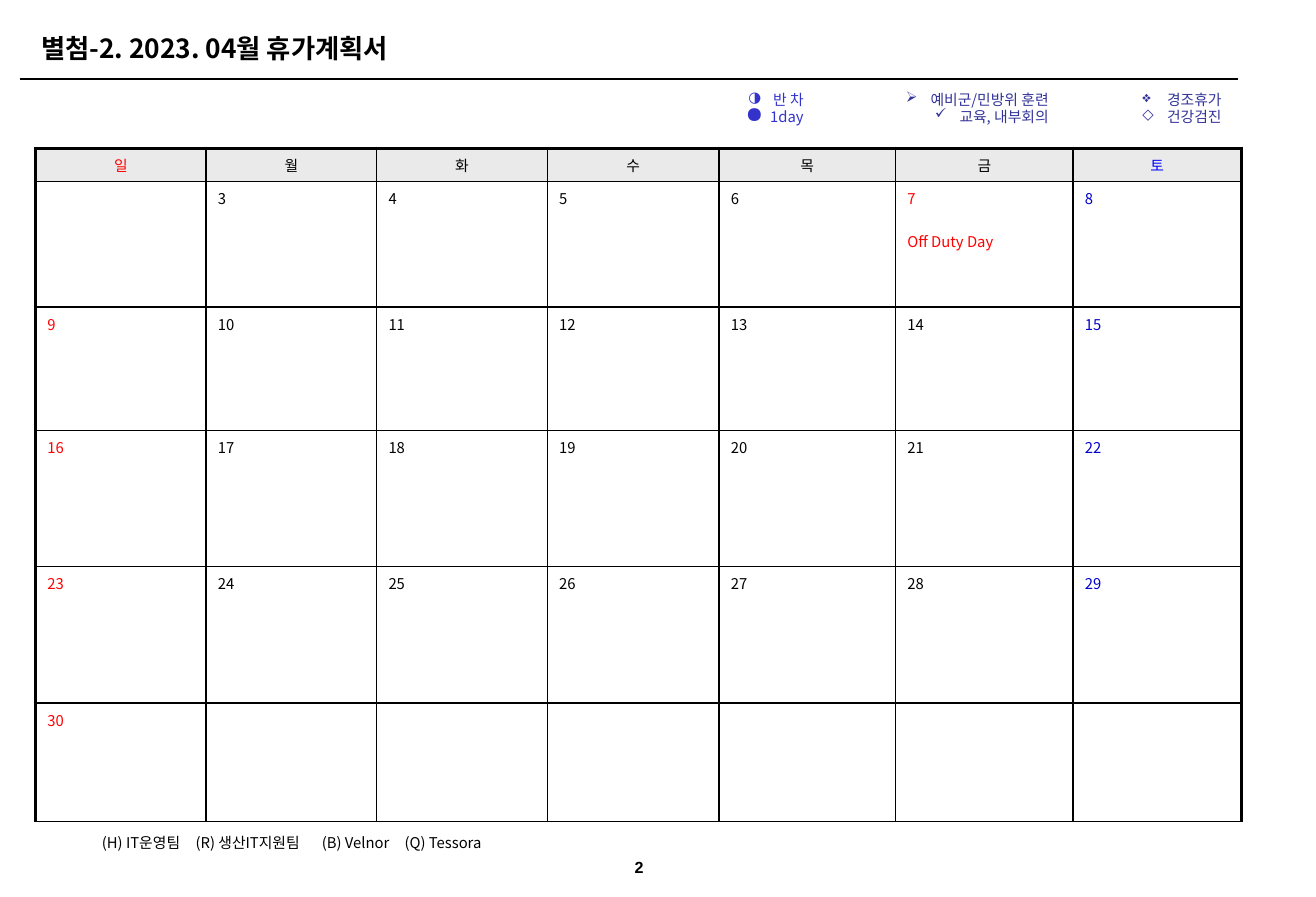
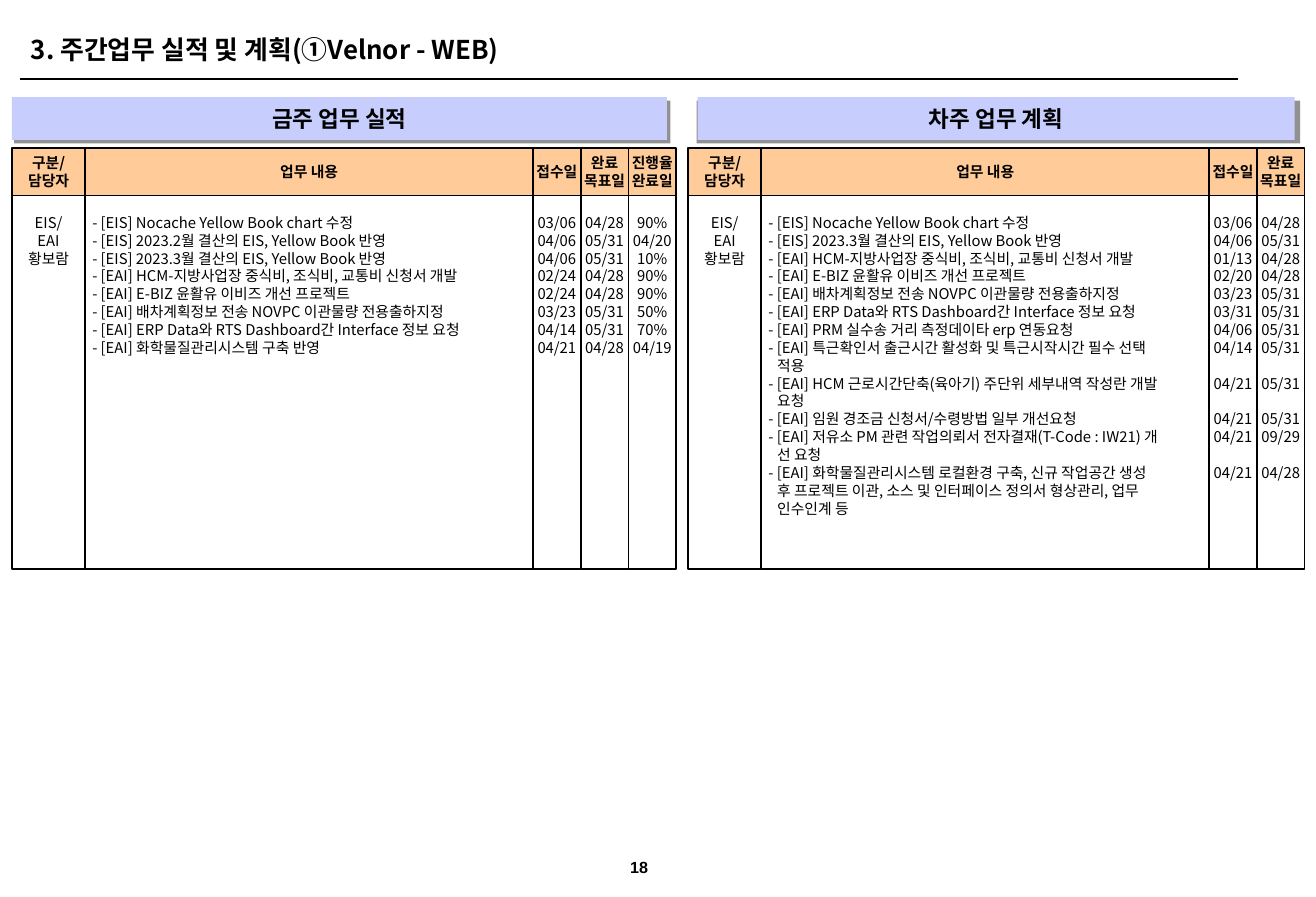
from dataclasses import dataclass
from typing import Any, NamedTuple

from lxml.etree import SubElement
from pptx import Presentation
from pptx.dml.color import RGBColor
from pptx.enum.shapes import MSO_CONNECTOR, MSO_SHAPE
from pptx.enum.text import MSO_ANCHOR as Anchor, PP_ALIGN as Align
from pptx.oxml.ns import qn
from pptx.util import Pt

COLORS = {
    "black": "000000", "red": "FF0000", "blue": "0000FF", "navy": "0000CC",
    "indigo": "3333CC", "slate": "333399", "weekday": "EAEAEA",
    "banner": "C7CDFD", "shade": "919191", "heading": "FFCC99",
}
FONT = "Noto Sans CJK KR"
PITCH = 10.86  # line pitch of 9 pt text in the work lists


@dataclass(frozen=True)
class Style:
    size: float = 9
    color: str = "black"
    bold: bool = False
    align: Any = Align.LEFT
    font: str = FONT
    pitch: float | None = None


class Box(NamedTuple):
    left: float
    top: float
    width: float
    height: float


class LegendItem(NamedTuple):
    bullet: str
    text: str
    scale: int = 100


class Legend(NamedTuple):
    right: float
    color: str
    items: list[LegendItem]


class Task(NamedTuple):
    text: str
    dates: tuple[str, ...]


class Panel(NamedTuple):
    left: float
    banner: Box
    shade: Box
    title: str
    tasks: list[Task]


# Shared helpers
def set_values(target: Any, values: dict[str, Any]) -> None:
    for name, value in values.items():
        setattr(target, name, value)


def rgb(name: str) -> RGBColor:
    return RGBColor.from_string(COLORS[name])


def write_paragraph(paragraph: Any, text: str, style: Style, gap: float = 0) -> None:
    paragraph.text = text
    paragraph.alignment = style.align
    if style.pitch:
        paragraph.line_spacing = Pt(style.pitch)
    if gap:
        paragraph.space_before = Pt(gap)
    for run in paragraph.runs:
        set_values(run.font, {"name": style.font, "size": Pt(style.size), "bold": style.bold})
        run.font.color.rgb = rgb(style.color)
        SubElement(run.font._element, qn("a:ea"), typeface=style.font)


def write_lines(frame: Any, lines: list[str], style: Style, gaps: list[float] | None = None) -> None:
    for index, line in enumerate(lines):
        paragraph = frame.add_paragraph() if index else frame.paragraphs[0]
        write_paragraph(paragraph, line, style, gaps[index] if gaps else 0)


def set_frame(frame: Any, anchor: Any, left: float = 0, top: float = 0) -> None:
    set_values(frame, {
        "word_wrap": True, "vertical_anchor": anchor,
        "margin_left": Pt(left), "margin_top": Pt(top),
        "margin_right": 0, "margin_bottom": 0,
    })


def add_text(slide: Any, box: Box, lines: list[str], style: Style, anchor: Any = Anchor.MIDDLE) -> Any:
    frame = slide.shapes.add_textbox(*map(Pt, box)).text_frame
    set_frame(frame, anchor)
    write_lines(frame, lines, style)
    return frame


def add_rectangle(slide: Any, box: Box, fill: str | None = None, outlined: bool = False) -> Any:
    shape = slide.shapes.add_shape(MSO_SHAPE.RECTANGLE, *map(Pt, box))
    shape.shadow.inherit = False
    if fill:
        shape.fill.solid()
        shape.fill.fore_color.rgb = rgb(fill)
    else:
        shape.fill.background()
    if outlined:
        shape.line.color.rgb = rgb("black")
        shape.line.width = Pt(1)
    else:
        shape.line.fill.background()
    set_frame(shape.text_frame, Anchor.MIDDLE)
    return shape


def add_page(presentation: Any, title: str, left: float, middle: float, size: float, number: str) -> Any:
    """Blank slide with the title, the rule under it and the page number."""
    slide = presentation.slides.add_slide(presentation.slide_layouts[6])
    rule = slide.shapes.add_connector(MSO_CONNECTOR.STRAIGHT, Pt(12), Pt(48), Pt(752.5), Pt(48))
    rule.line.color.rgb = rgb("black")
    rule.line.width = Pt(1.5)
    SubElement(rule._element.spPr, qn("a:effectLst"))
    add_text(slide, Box(left, middle - 13, 700, 26), [title], Style(size, bold=True))
    add_text(slide, Box(369, 516, 39, 22), [number],
             Style(9.8, bold=True, align=Align.CENTER, font="Arial"))
    return slide


# Calendar
WEEKDAYS = "일월화수목금토"
COLUMNS = [103.7, 103.7, 103.7, 104.4, 107.3, 108, 102.2]
ROWS = [20.3, 76.3, 74.9, 82.8, 82.8, 72]
FIRST_DAY, LAST_DAY = 3, 30
OFF_DAYS = {7: "Off Duty Day"}
LEGENDS = [
    Legend(488.5, "indigo", [LegendItem("◑", "반 차"), LegendItem("●", "1day", 150)]),
    Legend(637.4, "slate", [LegendItem("➢", "예비군/민방위 훈련"), LegendItem("✓", "교육, 내부회의")]),
    Legend(742.5, "slate", [LegendItem("❖", "경조휴가"), LegendItem("◇", "건강검진")]),
]
TEAMS = ["(H) IT운영팀", "(R) 생산IT지원팀", "(B) Velnor", "(Q) Tessora"]
TEAM_TABS = [57, 133.7, 184]


def add_borders(cell: Any, row: int, column: int) -> None:
    properties = cell._tc.get_or_add_tcPr()
    widths = {
        "L": 2 if column == 0 else 1,
        "R": 2 if column == len(COLUMNS) - 1 else 1,
        "T": 2 if row == 0 else 1,
        "B": 1,
    }
    for index, (side, width) in enumerate(widths.items()):
        line = SubElement(properties, qn(f"a:ln{side}"), w=str(Pt(width)))
        fill = SubElement(line, qn("a:solidFill"))
        SubElement(fill, qn("a:srgbClr"), val=COLORS["black"])
        properties.insert(index, line)


def add_calendar(slide: Any) -> None:
    table = slide.shapes.add_table(
        len(ROWS), len(COLUMNS), Pt(21.6), Pt(90), Pt(sum(COLUMNS)), Pt(sum(ROWS))).table
    set_values(table, {"first_row": False, "horz_banding": False})
    for column, width in zip(table.columns, COLUMNS):
        column.width = Pt(width)
    for row, height in zip(table.rows, ROWS):
        row.height = Pt(height)
    for row in range(len(ROWS)):
        for column, weekday in enumerate(WEEKDAYS):
            cell = table.cell(row, column)
            if row == 0:
                cell.fill.solid()
                cell.fill.fore_color.rgb = rgb("weekday")
                cell.vertical_anchor = Anchor.MIDDLE
                color = {0: "red", 6: "blue"}.get(column, "black")
                write_lines(cell.text_frame, [weekday], Style(color=color, align=Align.CENTER))
            else:
                cell.fill.background()
                day = FIRST_DAY + (row - 1) * 7 + column - 1
                if FIRST_DAY <= day <= LAST_DAY:
                    color = "red" if day in OFF_DAYS else {0: "red", 6: "navy"}.get(column, "black")
                    lines = [str(day)] + ([OFF_DAYS[day]] if day in OFF_DAYS else [])
                    write_lines(cell.text_frame, lines, Style(color=color), [0, 13])
            add_borders(cell, row, column)


def add_legend(slide: Any, legend: Legend) -> None:
    style = Style(color=legend.color, align=Align.RIGHT, pitch=10.3)
    frame = add_text(slide, Box(legend.right - 110, 55.5, 110, 22),
                     [item.text for item in legend.items], style, Anchor.TOP)
    for paragraph, item in zip(frame.paragraphs, legend.items):
        properties = paragraph._p.get_or_add_pPr()
        properties.set("marL", str(Pt(15)))
        properties.set("indent", str(Pt(-15)))
        color = SubElement(properties, qn("a:buClr"))
        SubElement(color, qn("a:srgbClr"), val=COLORS[legend.color])
        SubElement(properties, qn("a:buSzPct"), val=str(item.scale * 1000))
        SubElement(properties, qn("a:buChar"), char=item.bullet)


def add_teams(slide: Any) -> None:
    frame = add_text(slide, Box(62, 503, 260, 18), ["\t".join(TEAMS)], Style())
    tabs = SubElement(frame.paragraphs[0]._p.get_or_add_pPr(), qn("a:tabLst"))
    for position in TEAM_TABS:
        SubElement(tabs, qn("a:tab"), pos=str(Pt(position)), algn="l")


# Weekly work panels
HEADINGS = ["구분/\v담당자", "업무 내용", "접수일", "완료\v목표일", "진행율\v완료일"]
WIDTHS = [44.6, 272.2, 29, 29, 29]
OWNER = ["EIS/", "EAI", "황보람"]
HEADER_TOP, HEADER_HEIGHT, BODY_HEIGHT = 90, 28.8, 226.8
PANELS = [
    Panel(7.2, Box(7.2, 59, 398.2, 26), Box(8.6, 61.2, 399, 26), "금주 업무 실적", [
        Task("- [EIS] Nocache Yellow Book chart 수정", ("03/06", "04/28", "90%")),
        Task("- [EIS] 2023.2월 결산의 EIS, Yellow Book 반영", ("04/06", "05/31", "04/20")),
        Task("- [EIS] 2023.3월 결산의 EIS, Yellow Book 반영", ("04/06", "05/31", "10%")),
        Task("- [EAI] HCM-지방사업장 중식비, 조식비, 교통비 신청서 개발", ("02/24", "04/28", "90%")),
        Task("- [EAI] E-BIZ 윤활유 이비즈 개선 프로젝트", ("02/24", "04/28", "90%")),
        Task("- [EAI] 배차계획정보 전송 NOVPC 이관물량 전용출하지정", ("03/23", "05/31", "50%")),
        Task("- [EAI] ERP Data와 RTS Dashboard간 Interface 정보 요청", ("04/14", "05/31", "70%")),
        Task("- [EAI] 화학물질관리시스템 구축 반영", ("04/21", "04/28", "04/19")),
    ]),
    Panel(418.2, Box(424.1, 59, 363, 26), Box(423.4, 61.2, 367, 26), "차주 업무 계획", [
        Task("- [EIS] Nocache Yellow Book chart 수정", ("03/06", "04/28")),
        Task("- [EIS] 2023.3월 결산의 EIS, Yellow Book 반영", ("04/06", "05/31")),
        Task("- [EAI] HCM-지방사업장 중식비, 조식비, 교통비 신청서 개발", ("01/13", "04/28")),
        Task("- [EAI] E-BIZ 윤활유 이비즈 개선 프로젝트", ("02/20", "04/28")),
        Task("- [EAI] 배차계획정보 전송 NOVPC 이관물량 전용출하지정", ("03/23", "05/31")),
        Task("- [EAI] ERP Data와 RTS Dashboard간 Interface 정보 요청", ("03/31", "05/31")),
        Task("- [EAI] PRM 실수송 거리 측정데이타 erp 연동요청", ("04/06", "05/31")),
        Task("- [EAI] 특근확인서 출근시간 활성화 및 특근시작시간 필수 선택\v적용", ("04/14", "05/31")),
        Task("- [EAI] HCM 근로시간단축(육아기) 주단위 세부내역 작성란 개발\v요청", ("04/21", "05/31")),
        Task("- [EAI] 임원 경조금 신청서/수령방법 일부 개선요청", ("04/21", "05/31")),
        Task("- [EAI] 저유소 PM 관련 작업의뢰서 전자결재(T-Code : IW21) 개\v선 요청", ("04/21", "09/29")),
        Task("- [EAI] 화학물질관리시스템 로컬환경 구축, 신규 작업공간 생성\v"
             "후 프로젝트 이관, 소스 및 인터페이스 정의서 형상관리, 업무\v인수인계 등", ("04/21", "04/28")),
    ]),
]


def add_panel(slide: Any, panel: Panel) -> None:
    add_rectangle(slide, panel.shade, "shade")
    banner = add_rectangle(slide, panel.banner, "banner")
    write_lines(banner.text_frame, [panel.title], Style(13.7, bold=True, align=Align.CENTER))

    texts = [task.text for task in panel.tasks]
    columns = [OWNER, texts, *map(list, zip(*(task.dates for task in panel.tasks)))]
    # Dates skip the wrapped lines of the task above them
    date_gaps = [0] + [text.count("\v") * PITCH for text in texts[:-1]]
    left = panel.left
    for index, (lines, heading, width) in enumerate(zip(columns, HEADINGS, WIDTHS)):
        is_task = lines is texts
        header = add_rectangle(slide, Box(left, HEADER_TOP, width, HEADER_HEIGHT), "heading", True)
        write_lines(header.text_frame, [heading], Style(bold=True, align=Align.CENTER, pitch=PITCH))
        body = add_rectangle(
            slide, Box(left, HEADER_TOP + HEADER_HEIGHT, width, BODY_HEIGHT), outlined=True)
        set_frame(body.text_frame, Anchor.TOP, left=4.3 if is_task else 0, top=PITCH)
        style = Style(align=Align.LEFT if is_task else Align.CENTER, pitch=PITCH)
        write_lines(body.text_frame, lines, style, date_gaps if index > 1 else None)
        if is_task:
            for paragraph in body.text_frame.paragraphs:
                properties = paragraph._p.get_or_add_pPr()
                properties.set("marL", str(Pt(5.3)))
                properties.set("indent", str(Pt(-5.3)))
        left += width


def main() -> None:
    presentation = Presentation()
    set_values(presentation, {"slide_width": Pt(800), "slide_height": Pt(545)})

    calendar = add_page(presentation, "별첨-2. 2023. 04월 휴가계획서", 25.2, 29, 16, "2")
    add_calendar(calendar)
    for legend in LEGENDS:
        add_legend(calendar, legend)
    add_teams(calendar)

    weekly = add_page(presentation, "3. 주간업무 실적 및 계획(①Velnor - WEB)", 18.8, 30, 15.7, "18")
    for panel in PANELS:
        add_panel(weekly, panel)

    presentation.save("out.pptx")


if __name__ == "__main__":
    main()
